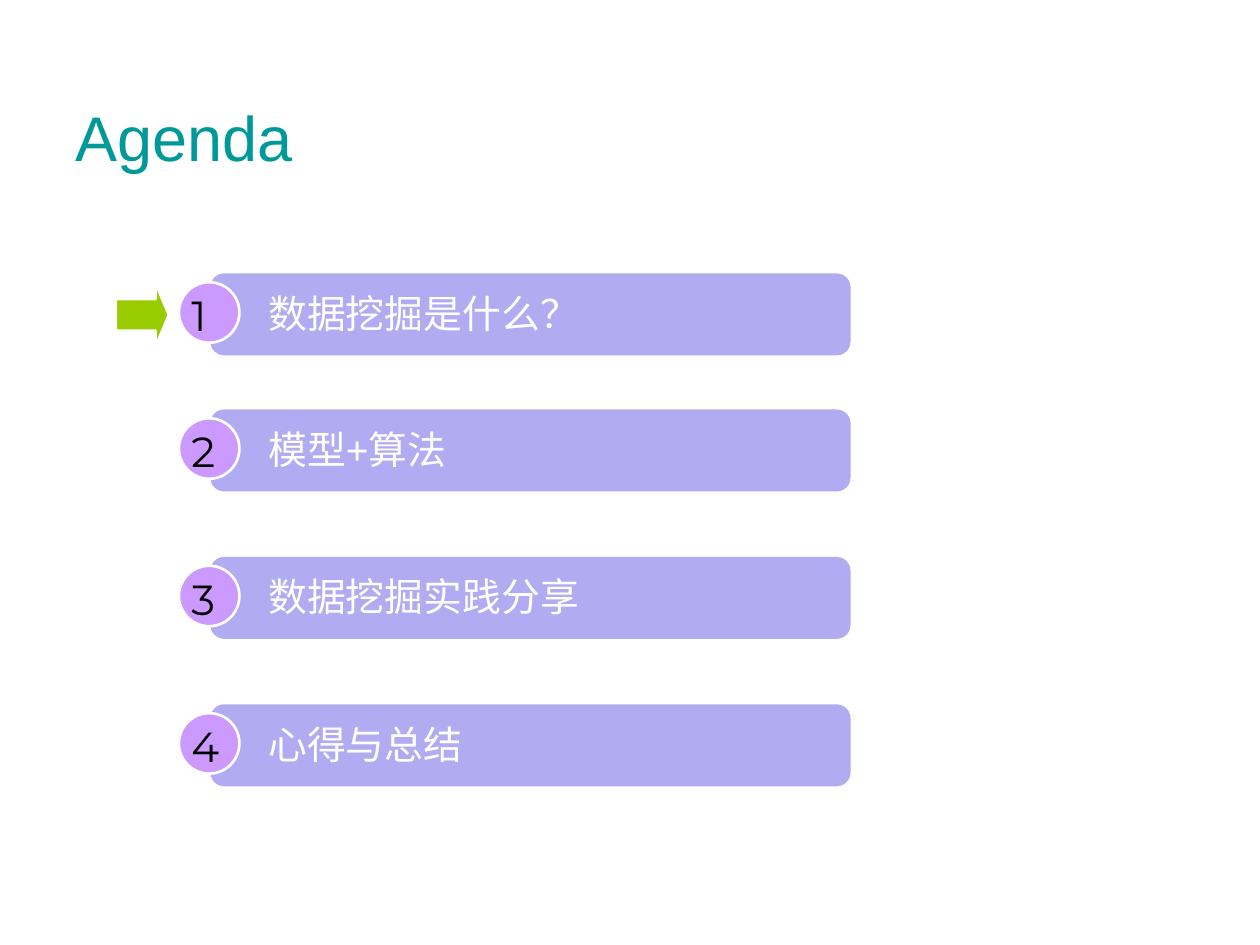
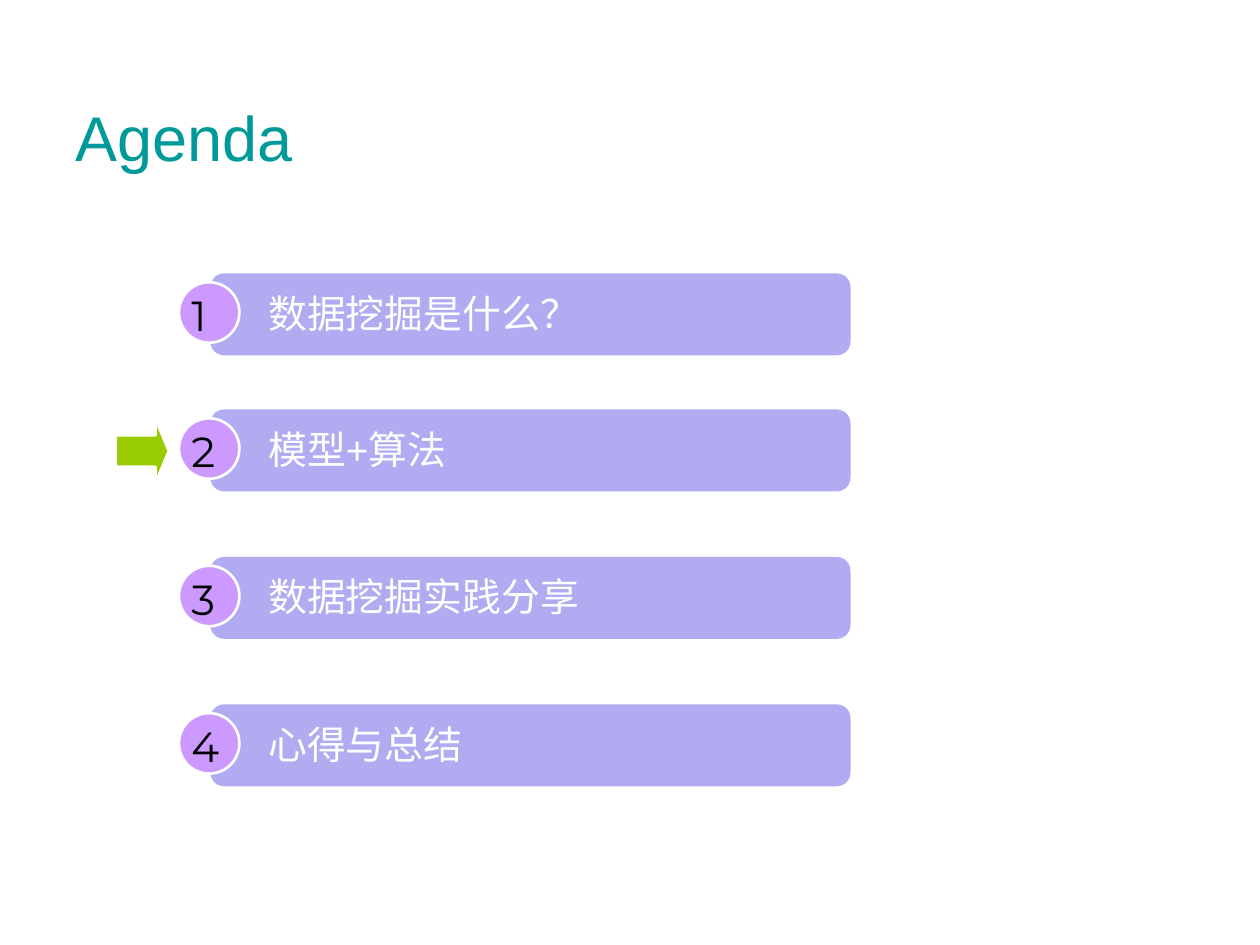
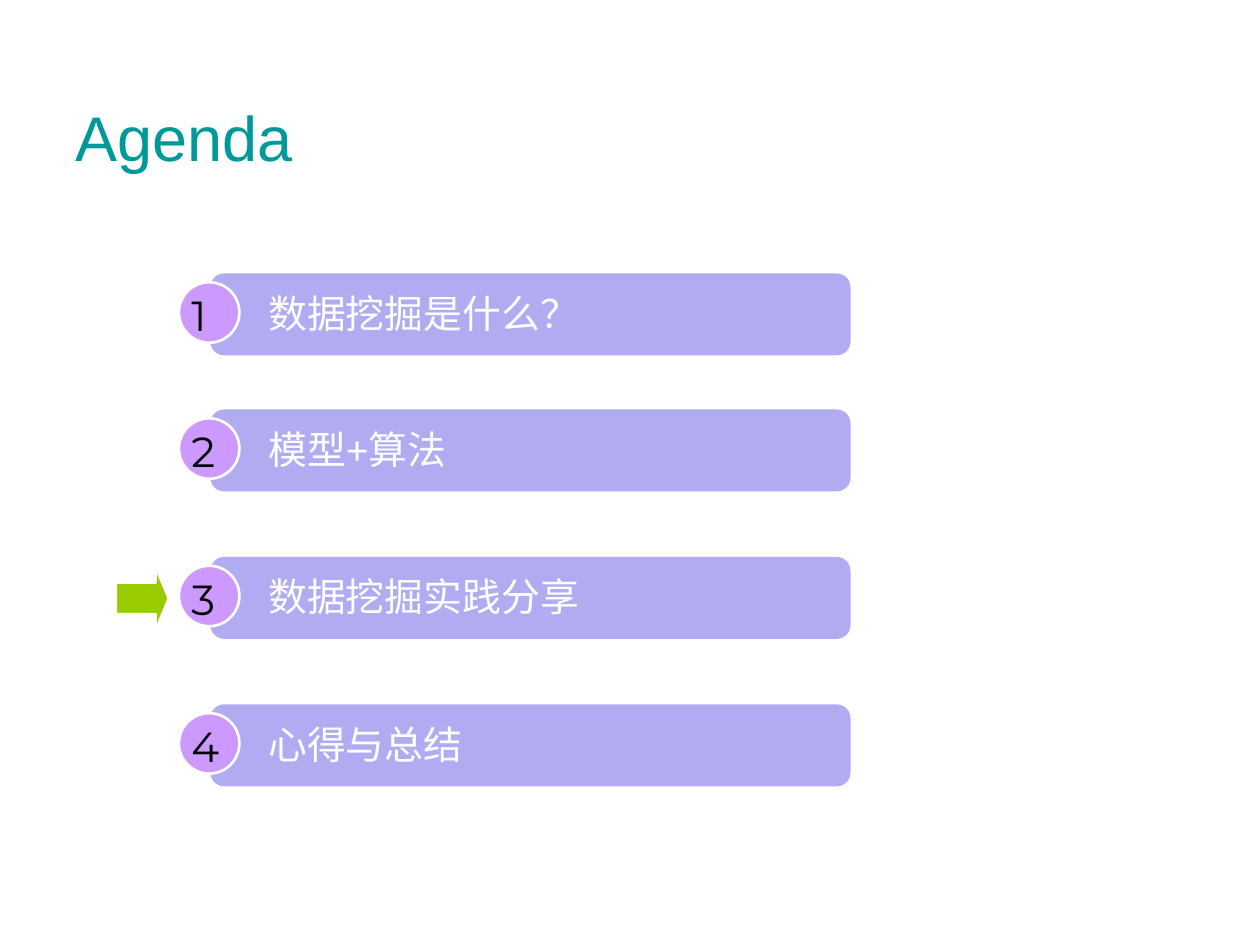
from dataclasses import dataclass

import pptx
import pptx.dml.color
import pptx.enum.shapes
import pptx.enum.text
import pptx.util

Inches = pptx.util.Inches
Pt = pptx.util.Pt
Shape = pptx.enum.shapes.MSO_SHAPE
Anchor = pptx.enum.text.MSO_ANCHOR
AutoSize = pptx.enum.text.MSO_AUTO_SIZE


@dataclass(frozen=True)
class Theme:
    teal: str = "009999"
    bar: str = "B1ACF2"
    badge: str = "CC99FF"
    marker: str = "99CC00"
    white: str = "FFFFFF"
    black: str = "000000"
    text_font: str = "Arial"
    number_font: str = "Montserrat"
    title_size: float = 36
    topic_size: float = 22.2
    number_size: float = 24
    outline: float = 1.5


THEME = Theme()

TOPICS = ["数据挖掘是什么？", "模型+算法", "数据挖掘实践分享", "心得与总结"]
ROW_TOPS = [2.25, 3.33, 4.5, 5.67]
CURRENT_TOPICS = [0, 1, 2]  # topic pointed at on each slide


def color(code):
    return pptx.dml.color.RGBColor.from_string(code)


def write(holder, text, *, size, ink, font=THEME.text_font, before=0,
          anchor=Anchor.TOP, auto_size=AutoSize.NONE):
    """Put one formatted, left-aligned line into a shape or placeholder."""
    frame = holder.text_frame
    frame.word_wrap = True
    frame.auto_size = auto_size
    frame.vertical_anchor = anchor
    frame.margin_left = frame.margin_right = Inches(0.1)
    frame.margin_top = frame.margin_bottom = Inches(0.05)
    line = frame.paragraphs[0]
    line.alignment = pptx.enum.text.PP_ALIGN.LEFT
    line.space_before = Pt(before)
    run = line.add_run()
    run.text = text
    run.font.name = font
    run.font.size = Pt(size)
    run.font.color.rgb = color(ink)


def add_figure(slide, kind, left, top, width, height, fill,
               outlined=False, adjustments=()):
    """Draw a flat preset shape, with a white outline if asked."""
    figure = slide.shapes.add_shape(
        kind, Inches(left), Inches(top), Inches(width), Inches(height))
    figure.shadow.inherit = False
    figure.fill.solid()
    figure.fill.fore_color.rgb = color(fill)
    if outlined:
        figure.line.color.rgb = color(THEME.white)
        figure.line.width = Pt(THEME.outline)
    else:
        figure.line.fill.background()
    for index, value in enumerate(adjustments):
        figure.adjustments[index] = value


def add_label(slide, text, left, top, width, **text_format):
    label = slide.shapes.add_textbox(
        Inches(left), Inches(top), Inches(width), Inches(0.5))
    write(label, text, **text_format)


def add_title(slide, text):
    title = slide.shapes.title
    title.left, title.top = Inches(0.5), Inches(0.67)
    title.width, title.height = Inches(2.25), Inches(0.83)
    write(title, text, size=THEME.title_size, ink=THEME.teal,
          anchor=Anchor.MIDDLE)


def add_topic(slide, number, topic, top):
    """Bar, numbered badge and wording of one agenda row."""
    add_figure(slide, Shape.ROUNDED_RECTANGLE, 1.67, top - 0.08, 5.08, 0.65,
               THEME.bar, adjustments=[0.167])
    add_figure(slide, Shape.OVAL, 1.42, top - 0.01, 0.48, 0.48,
               THEME.badge, outlined=True)
    add_label(slide, topic, 2.03, top, 4.55, size=THEME.topic_size,
              ink=THEME.white, before=22.5)
    add_label(slide, str(number), 1.42, top, 0.55, size=THEME.number_size,
              ink=THEME.black, font=THEME.number_font, before=15,
              auto_size=AutoSize.SHAPE_TO_FIT_TEXT)


def add_agenda(deck, current):
    slide = deck.slides.add_slide(deck.slide_layouts.get_by_name("Title Only"))
    add_title(slide, "Agenda")
    for number, (topic, top) in enumerate(zip(TOPICS, ROW_TOPS), start=1):
        add_topic(slide, number, topic, top)
    # Arrow beside the current topic
    add_figure(slide, Shape.RIGHT_ARROW, 0.92, ROW_TOPS[current], 0.42, 0.5,
               THEME.marker, outlined=True, adjustments=[0.5, 0.25])


def main():
    deck = pptx.Presentation()
    deck.slide_width, deck.slide_height = Inches(10), Inches(7.5)
    for current in CURRENT_TOPICS:
        add_agenda(deck, current)
    deck.save("out.pptx")


if __name__ == "__main__":
    main()
